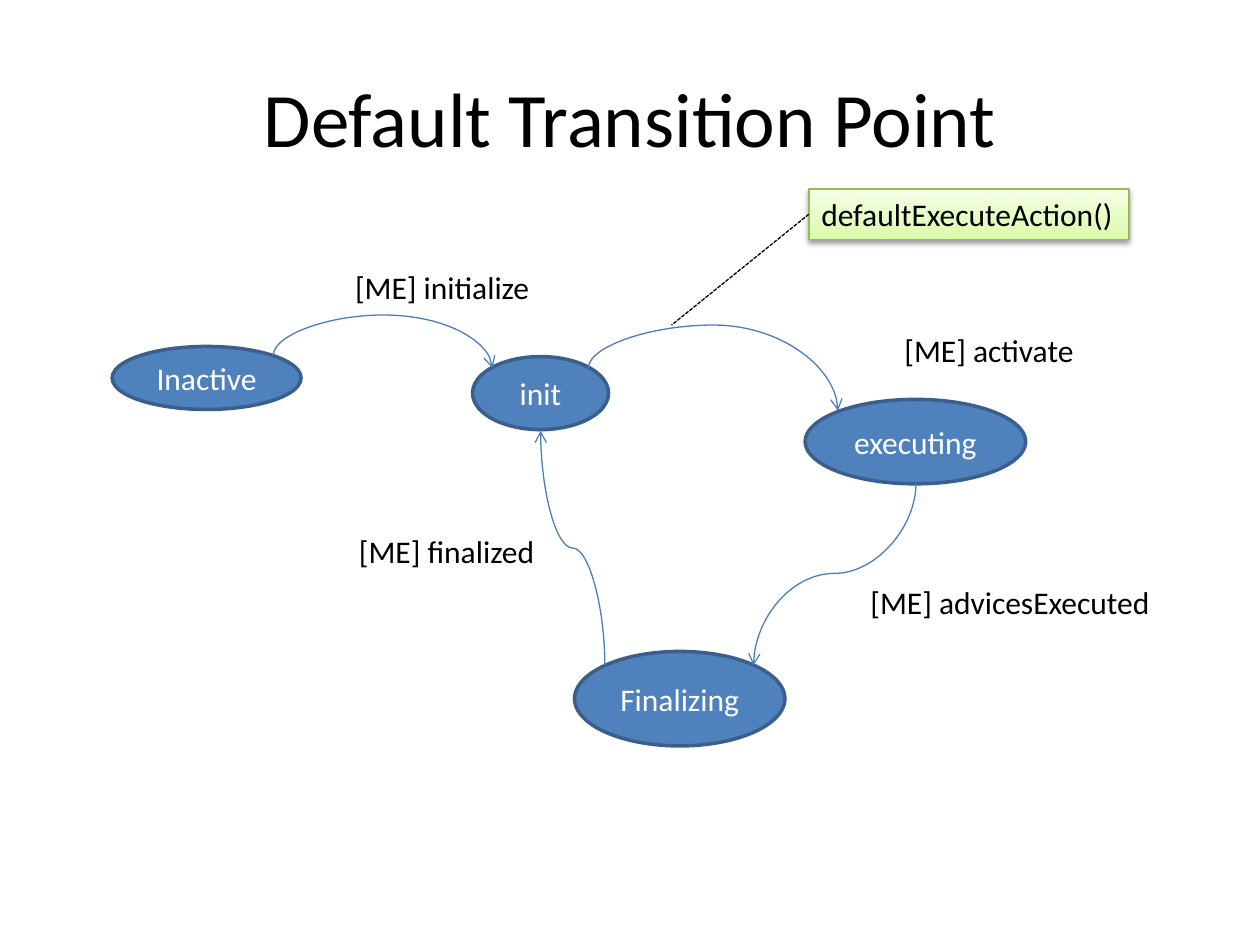
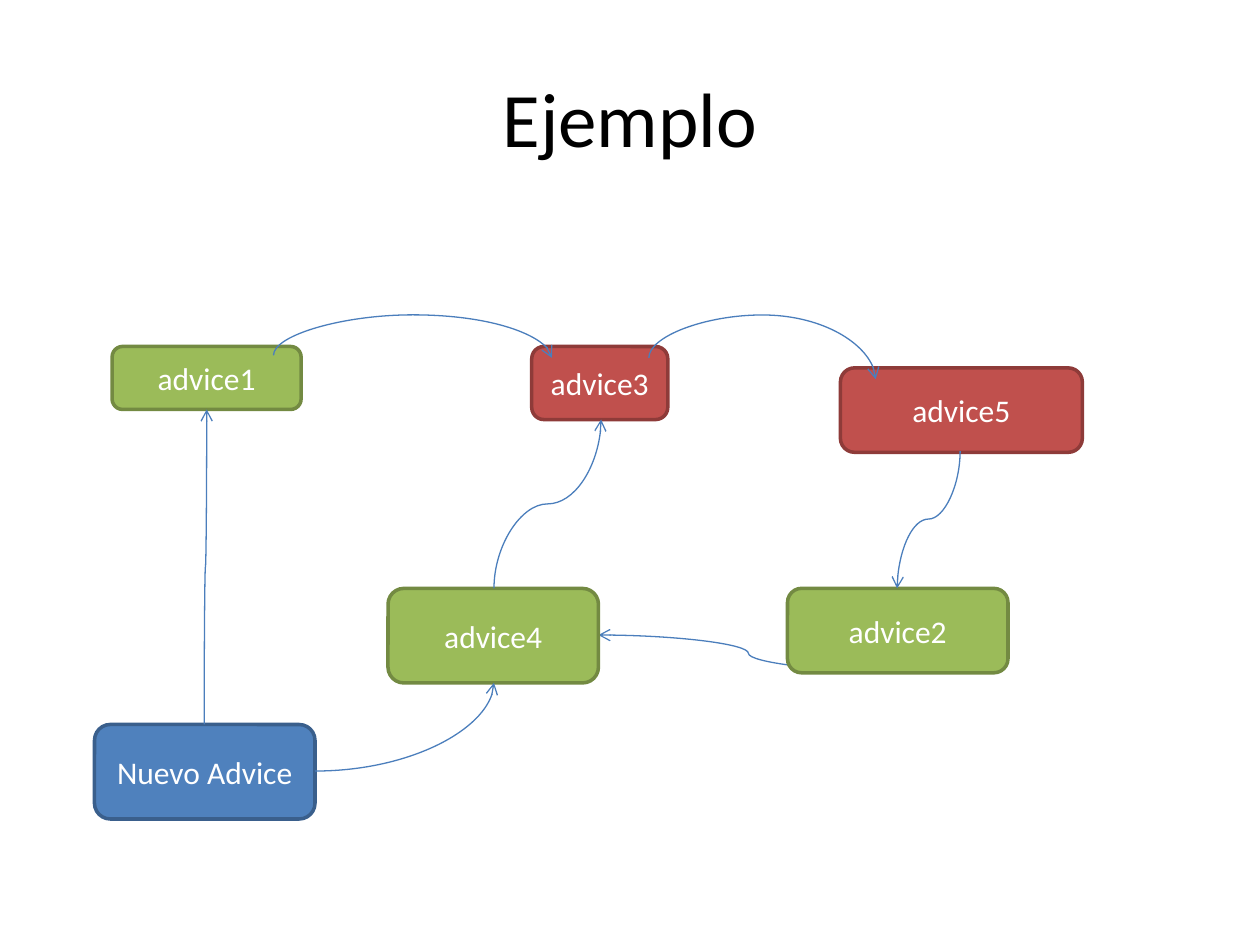
"""Build two slides: a state diagram and an example of linked advices."""
from lxml import etree
from pptx import Presentation
from pptx import util as u
from pptx.dml.color import RGBColor
from pptx.enum import dml, shapes, text
from pptx.oxml import parse_xml
from pptx.oxml.ns import nsdecls, qn

HUES = {
    "blue": "4F81BD", "blue edge": "3A5F8C",
    "green": "9BBB59", "green edge": "738A42",
    "red": "C0504D", "red edge": "8E3B39",
    "link": "4B7EBC", "lime": "98B955",
    "black": "000000", "white": "FFFFFF",
}
RGB = {name: RGBColor.from_string(code) for name, code in HUES.items()}
FADE = ((0, "DAFDA7"), (35, "E4FCC2"), (100, "F5FFE7"))


def write(shape, words, hue, size=18, align=None, wrap=True):
    frame = shape.text_frame
    frame.word_wrap = wrap
    if not wrap:
        frame.auto_size = text.MSO_AUTO_SIZE.SHAPE_TO_FIT_TEXT
    para = frame.paragraphs[0]
    para.alignment = align
    run = para.add_run()
    run.text = words
    run.font.size = u.Pt(size)
    run.font.name = "Calibri"
    run.font.color.rgb = RGB[hue]


def link(slide, x1, y1, x2, y2, bend=None, kind="curvedConnector3"):
    dx, dy = x2 - x1, y2 - y1
    ends = x1, y1, x2, y2
    if bend is not None:
        mx, my = (x1 + x2) / 2, (y1 + y2) / 2
        w, h = abs(dy) / 2, abs(dx) / 2
        ends = mx - w, my - h, mx + w, my + h
    line = slide.shapes.add_connector(
        shapes.MSO_CONNECTOR.CURVE, *[u.Inches(n) for n in ends])
    line.line.color.rgb = RGB["link"]
    line.line.width = u.Pt(0.75)
    props = line.element.spPr
    geom = props.find(qn("a:prstGeom"))
    geom.set("prst", kind)
    if bend is not None:
        down, turn = dy > 0, 270 if dx * dy > 0 else 90
        line.rotation = turn
        frame = props.find(qn("a:xfrm"))
        frame.set("flipH", str(int((turn == 270) == down)))
        frame.set("flipV", str(int(not down)))
        etree.SubElement(geom.find(qn("a:avLst")), qn("a:gd"), name="adj1",
                         fmla=f"val {round((bend - y1) / dy * 100000)}")
    etree.SubElement(props.find(qn("a:ln")), qn("a:tailEnd"), type="arrow")
    etree.SubElement(props, qn("a:effectLst"))


deck = Presentation()
deck.slide_width, deck.slide_height = u.Inches(10), u.Inches(7.5)
CENTER = text.PP_ALIGN.CENTER
OVAL, ROUND = shapes.MSO_SHAPE.OVAL, shapes.MSO_SHAPE.ROUNDED_RECTANGLE

pages = [
    ("Default Transition Point", OVAL, [
        ("Inactive", "blue", 0.89, 2.75, 1.5, 0.5),
        ("init", "blue", 3.75, 2.83, 1.08, 0.58),
        ("executing", "blue", 6.39, 3.17, 1.75, 0.67),
        ("Finalizing", "blue", 4.56, 5.17, 1.67, 0.75),
    ], [
        (2.17, 2.82, 3.91, 2.92, 2.5),
        (4.67, 2.92, 6.65, 3.26, 2.58),
        (7.27, 3.83, 5.98, 5.28, 4.55),
        (4.8, 5.28, 4.29, 3.42, 4.35),
    ]),
    ("Ejemplo", ROUND, [
        ("advice1", "green", 0.89, 2.75, 1.5, 0.5),
        ("advice3", "red", 4.22, 2.75, 1.08, 0.58),
        ("advice5", "red", 6.67, 2.92, 1.92, 0.67),
        ("advice4", "green", 3.08, 4.67, 1.67, 0.75),
        ("advice2", "green", 6.25, 4.67, 1.75, 0.67),
        ("Nuevo Advice", "blue", 0.75, 5.75, 1.75, 0.75),
    ], [
        (2.17, 2.82, 4.38, 2.84, 2.5),
        (5.15, 2.84, 6.95, 3.01, 2.5),
        (3.92, 4.67, 4.77, 3.33, 4),
        (7.62, 3.58, 7.12, 4.67, 4.12),
        (1.62, 5.75, 1.64, 3.25, 4.5),
        (2.5, 6.12, 3.92, 5.42, None, "curvedConnector2"),
    ]),
]

for name, form, nodes, links in pages:
    slide = deck.slides.add_slide(deck.slide_layouts[5])
    title = slide.shapes.title
    title.left, title.top, title.width, title.height = [
        u.Inches(n) for n in (0.5, 0.3, 9, 1.25)]
    title.text_frame.vertical_anchor = text.MSO_ANCHOR.MIDDLE
    write(title, name, "black", 44, CENTER)
    if form == ROUND:
        link(slide, 7.13, 5.33, 4.75, 5.04)
    for words, hue, *box in nodes:
        node = slide.shapes.add_shape(form, *[u.Inches(n) for n in box])
        node.shadow.inherit = False
        node.fill.solid()
        node.fill.fore_color.rgb = RGB[hue]
        node.line.color.rgb = RGB[hue + " edge"]
        node.line.width = u.Pt(2)
        node.text_frame.vertical_anchor = text.MSO_ANCHOR.MIDDLE
        write(node, words, "white", align=CENTER)
    for ends in links:
        link(slide, *ends)

state = deck.slides[0]
for event, x, y, wide in (
    ("initialize", 2.72, 2.08, 1.6),
    ("activate", 7.08, 2.58, 1.56),
    ("advicesExecuted", 6.81, 4.58, 2.44),
    ("finalized", 2.75, 4.17, 1.61),
):
    label = state.shapes.add_textbox(*[u.Inches(n) for n in (x, y, wide, 0.4)])
    write(label, f"[ME] {event}", "black", wrap=False)

call = state.shapes.add_shape(
    shapes.MSO_SHAPE.RECTANGLE, *[u.Inches(n) for n in (6.42, 1.5, 2.54, 0.4)])
call.line.color.rgb = RGB["lime"]
call.line.width = u.Pt(0.75)
call.shadow.inherit = False
call.text_frame.vertical_anchor = text.MSO_ANCHOR.TOP
write(call, "defaultExecuteAction()", "black", align=text.PP_ALIGN.LEFT, wrap=False)
stops = "".join(f'<a:gs pos="{at * 1000}"><a:srgbClr val="{code}"/></a:gs>'
                for at, code in FADE)
props = call.element.spPr
props.find(qn("a:prstGeom")).addnext(parse_xml(
    f'<a:gradFill {nsdecls("a")} rotWithShape="1"><a:gsLst>{stops}</a:gsLst>'
    '<a:lin ang="16200000" scaled="0"/></a:gradFill>'))
props.find(qn("a:effectLst")).append(parse_xml(
    f'<a:outerShdw {nsdecls("a")} blurRad="{u.Pt(3.1)}" dist="{u.Pt(1.6)}" '
    f'dir="5400000" rotWithShape="0"><a:srgbClr val="{HUES["black"]}">'
    '<a:alpha val="38000"/></a:srgbClr></a:outerShdw>'))

dash = state.shapes.add_connector(
    shapes.MSO_CONNECTOR.STRAIGHT, *[u.Inches(n) for n in (6.42, 1.7, 5.33, 2.58)])
dash.line.color.rgb = RGB["black"]
dash.line.width = u.Pt(0.75)
dash.line.dash_style = dml.MSO_LINE.SQUARE_DOT
etree.SubElement(dash.element.spPr, qn("a:effectLst"))

deck.save("out.pptx")
